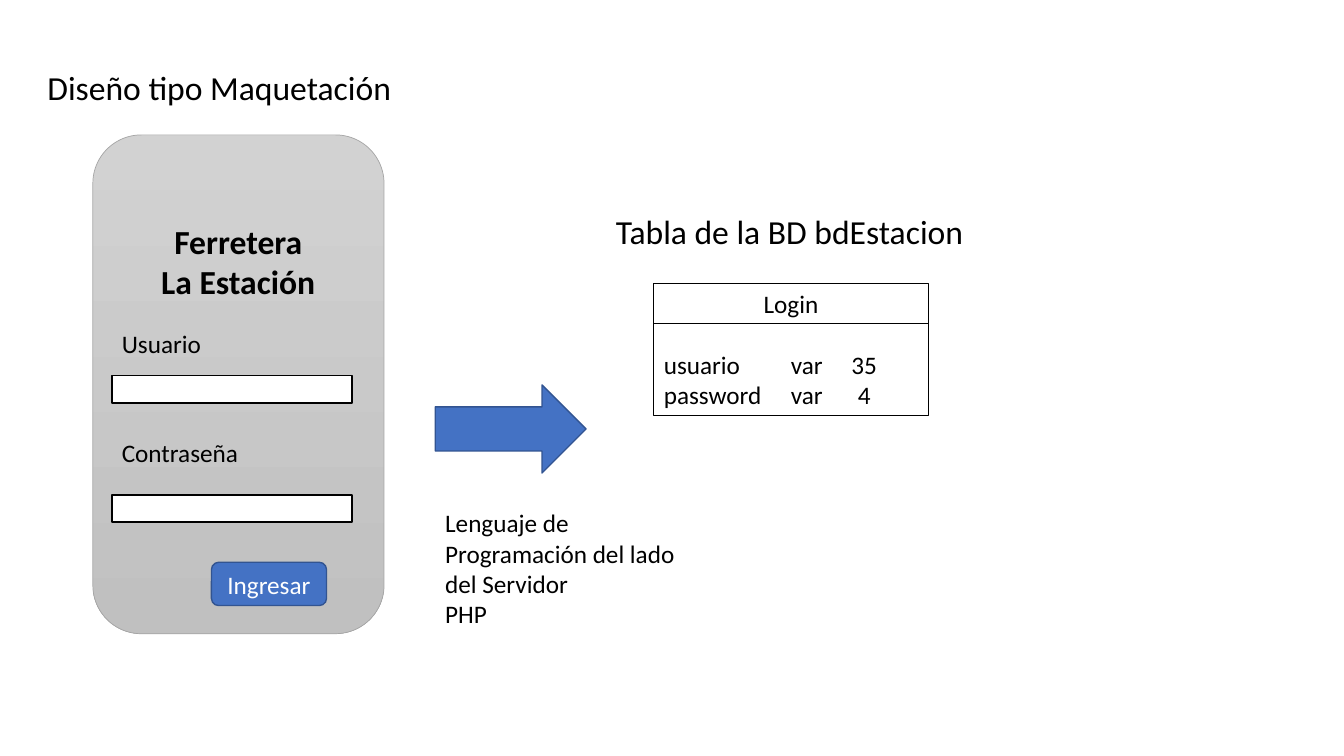
"""Build the login mockup slide with its database table."""
from dataclasses import dataclass

from lxml.etree import SubElement
from pptx import Presentation
from pptx.dml.color import RGBColor
from pptx.enum.shapes import MSO_CONNECTOR, MSO_SHAPE
from pptx.enum.text import MSO_ANCHOR, MSO_AUTO_SIZE, PP_ALIGN
from pptx.oxml.ns import qn
from pptx.util import Cm, Pt


@dataclass(frozen=True)
class Theme:
    font: str = "Calibri"
    heading: int = 24
    body: int = 18
    black: str = "000000"
    white: str = "FFFFFF"
    blue: str = "4472C4"
    blue_edge: str = "325491"
    phone_top: str = "D2D2D2"
    phone_bottom: str = "C0C0C0"
    phone_edge: str = "A5A5A5"


THEME = Theme()


def rgb(color):
    return RGBColor.from_string(color)


def write(sp, text, size=THEME.body, color=THEME.black, bold=False,
          align=PP_ALIGN.LEFT, anchor=MSO_ANCHOR.TOP, wrap=True):
    tf = sp.text_frame
    tf.text = text
    tf.auto_size = MSO_AUTO_SIZE.NONE
    tf.word_wrap = wrap
    tf.vertical_anchor = anchor
    for p in tf.paragraphs:
        p.alignment = align
        for r in p.runs:
            r.font.name = THEME.font
            r.font.size = Pt(size)
            r.font.bold = bold
            r.font.color.rgb = rgb(color)


def add_label(s, box, text, **style):
    sp = s.shapes.add_textbox(*map(Cm, box))
    write(sp, text, **style)


def add_box(s, kind, box, fill=None, line=THEME.black, width=1):
    sp = s.shapes.add_shape(kind, *map(Cm, box))
    sp.shadow.inherit = False
    if fill:
        sp.fill.solid()
        sp.fill.fore_color.rgb = rgb(fill)
    else:
        sp.fill.background()
    sp.line.color.rgb = rgb(line)
    sp.line.width = Pt(width)
    return sp


def add_rule(s, left, top, right):
    line = s.shapes.add_connector(MSO_CONNECTOR.STRAIGHT, Cm(left), Cm(top), Cm(right), Cm(top))
    line.line.color.rgb = rgb(THEME.black)
    line.line.width = Pt(0.5)
    SubElement(line._element.spPr, qn("a:effectLst"))


def add_tabs(p, stops):
    tabs = SubElement(p._p.get_or_add_pPr(), qn("a:tabLst"))
    for pos, align in stops:
        SubElement(tabs, qn("a:tab"), pos=str(Cm(pos)), algn=align)


def add_title(s, box, text):
    sp = s.shapes.title
    sp.left, sp.top, sp.width, sp.height = map(Cm, box)
    write(sp, text, size=THEME.heading)


def add_phone(s):
    phone = add_box(s, MSO_SHAPE.ROUNDED_RECTANGLE, (2.34, 3.4, 7.34, 12.57),
                    line=THEME.phone_edge, width=0.5)
    phone.fill.gradient()
    phone.fill.gradient_angle = 270
    for stop, color in zip(phone.fill.gradient_stops, (THEME.phone_top, THEME.phone_bottom)):
        stop.color.rgb = rgb(color)
    add_label(s, (3.78, 5.44, 4.45, 2.31), "Ferretera\nLa Estación", size=THEME.heading,
              bold=True, align=PP_ALIGN.CENTER, wrap=False)
    for text, label_top, field_top, width in (("Usuario", 8.15, 9.47, 2.51),
                                              ("Contraseña", 10.9, 12.47, 3.48)):
        add_label(s, (2.82, label_top, width, 1.02), text, wrap=False)
        add_box(s, MSO_SHAPE.RECTANGLE, (2.82, field_top, 6.05, 0.69), THEME.white)
    button = add_box(s, MSO_SHAPE.ROUNDED_RECTANGLE, (5.33, 14.17, 2.9, 1.09),
                     THEME.blue, THEME.blue_edge)
    write(button, "Ingresar", color=THEME.white, align=PP_ALIGN.CENTER,
          anchor=MSO_ANCHOR.MIDDLE)


def add_entity(s):
    left, top, width = 16.48, 7.14, 6.91
    entity = add_box(s, MSO_SHAPE.RECTANGLE, (left, top, width, 3.33), width=0.75)
    write(entity, "Login\nusuario\tvar\t35\npassword\tvar\t4")
    name, *fields = entity.text_frame.paragraphs
    name.alignment = PP_ALIGN.CENTER
    for p in fields:
        add_tabs(p, ((3.2, "l"), (5.05, "ctr")))
    fields[0].space_before = Pt(22)
    add_rule(s, left, top + 1.01, left + width)


def main():
    prs = Presentation()
    prs.slide_width, prs.slide_height = Cm(33.87), Cm(19.05)
    s = prs.slides.add_slide(prs.slide_layouts[5])
    add_title(s, (0.94, 1.55, 10.16, 1.27), "Diseño tipo Maquetación")
    add_phone(s)
    add_box(s, MSO_SHAPE.RIGHT_ARROW, (10.97, 9.7, 3.8, 2.22), THEME.blue, THEME.blue_edge)
    add_label(s, (10.97, 12.67, 6.99, 3.33),
              "Lenguaje de Programación del lado del Servidor\nPHP")
    add_label(s, (15.27, 5.18, 9.35, 1.27), "Tabla de la BD bdEstacion",
              size=THEME.heading, wrap=False)
    add_entity(s)
    prs.save("out.pptx")


if __name__ == "__main__":
    main()
